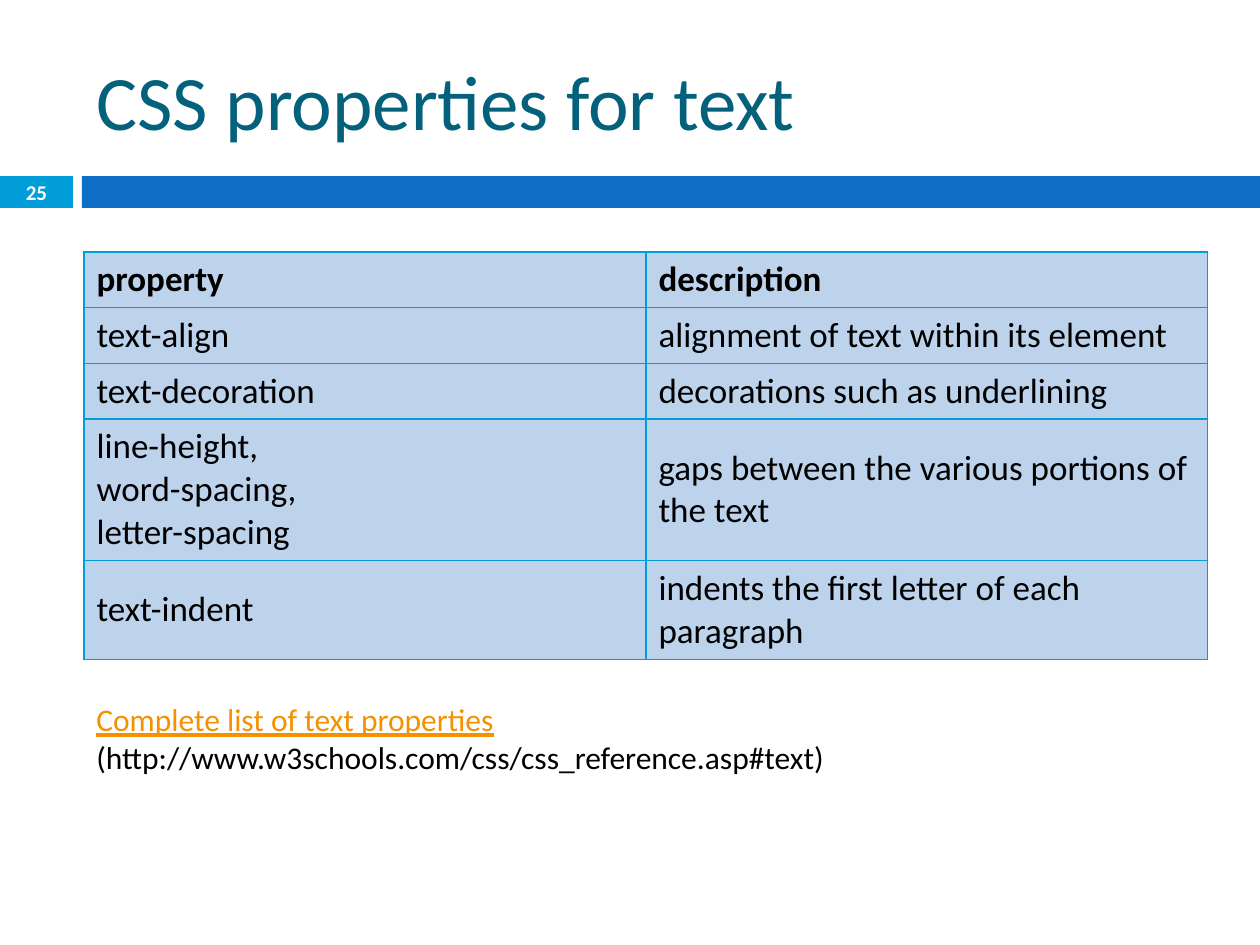
import pptx
import pptx.util
import pptx.dml.color
import pptx.enum.shapes
import pptx.enum.text
import pptx.oxml
import pptx.oxml.ns

SCALE = 914400 // 126
FONT = "Calibri"
CYAN, BLUE, TEAL, ORANGE = "009DD9", "0F6FC6", "04617B", "F49100"
PALE, BLACK, WHITE = "BDD3EC", "000000", "FFFFFF"
ALIGN = pptx.enum.text.PP_ALIGN
MIDDLE = pptx.enum.text.MSO_ANCHOR.MIDDLE
LEFT, WIDTH = 84, 1124

ROWS = [
    (55, "property", "description"),
    (56, "text-align", "alignment of text within its element"),
    (55, "text-decoration", "decorations such as underlining"),
    (141, "line-height,\nword-spacing,\nletter-spacing",
     "gaps between the various portions of the text"),
    (99, "text-indent", "indents the first letter of each paragraph"),
]


def px(*nums):
    return [pptx.util.Emu(num * SCALE) for num in nums]


def rgb(code):
    return pptx.dml.color.RGBColor.from_string(code)


class Page:
    def __init__(self, slide):
        self.slide = slide

    def run(self, para, text, size, color, bold=False, under=False):
        for index, line in enumerate(text.split("\n")):
            if index:
                para.add_line_break()
            run = para.add_run()
            run.text = line
            font = run.font
            font.name, font.size = FONT, pptx.util.Pt(size)
            font.bold, font.underline = bold, under
            font.color.rgb = rgb(color)

    def title(self, box, text):
        shape = self.slide.shapes.title
        shape.left, shape.top, shape.width, shape.height = px(*box)
        frame = shape.text_frame
        frame.vertical_anchor = MIDDLE
        para = frame.paragraphs[0]
        para.alignment = ALIGN.LEFT
        self.run(para, text, 44, TEAL)

    def bar(self, box, color):
        kind = pptx.enum.shapes.MSO_SHAPE.RECTANGLE
        shape = self.slide.shapes.add_shape(kind, *px(*box))
        shape.shadow.inherit = False
        shape.fill.solid()
        shape.fill.fore_color.rgb = rgb(color)
        shape.line.fill.background()

    def text(self, box):
        frame = self.slide.shapes.add_textbox(*px(*box)).text_frame
        frame.word_wrap = True
        return frame

    def number(self, box, text):
        frame = self.text(box)
        frame.margin_left = frame.margin_right = 0
        frame.margin_top = frame.margin_bottom = 0
        frame.vertical_anchor = MIDDLE
        para = frame.paragraphs[0]
        para.alignment = ALIGN.CENTER
        self.run(para, text, 12, WHITE, bold=True)

    def edge(self, cell, color):
        props = cell._tc.get_or_add_tcPr()
        for side in ("lnL", "lnR", "lnT", "lnB"):
            props.append(pptx.oxml.parse_xml(
                f'<a:{side} {pptx.oxml.ns.nsdecls("a")} w="10000"><a:solidFill>'
                f'<a:srgbClr val="{color}"/></a:solidFill></a:{side}>'))

    def table(self, left, top, width, rows):
        high = sum(row[0] for row in rows)
        box = px(left, top, width, high)
        table = self.slide.shapes.add_table(len(rows), 2, *box).table
        for y, (size, *texts) in enumerate(rows):
            table.rows[y].height = px(size)[0]
            for x, text in enumerate(texts):
                cell = table.cell(y, x)
                self.edge(cell, CYAN)
                cell.fill.solid()
                cell.fill.fore_color.rgb = rgb(PALE)
                cell.vertical_anchor = MIDDLE
                para = cell.text_frame.paragraphs[0]
                self.run(para, text, 20, BLACK, bold=y == 0)


def main():
    deck = pptx.Presentation()
    deck.slide_width, deck.slide_height = px(1260, 945)
    page = Page(deck.slides.add_slide(deck.slide_layouts[5]))
    page.bar((0, 176, 73, 32), CYAN)
    page.bar((82, 176, 1178, 32), BLUE)
    page.title((LEFT, 32, WIDTH, 136), "CSS properties for text")
    page.table(LEFT, 252, WIDTH, ROWS)
    page.number((0, 175, 73, 34), "25")
    para = page.text((LEFT, 694, 1143, 50)).paragraphs[0]
    page.run(para, "Complete list of text properties", 18, ORANGE, under=True)
    page.run(para, " (http://www.w3schools.com/css/css_reference.asp#text)", 18, BLACK)
    deck.save("out.pptx")


if __name__ == "__main__":
    main()
